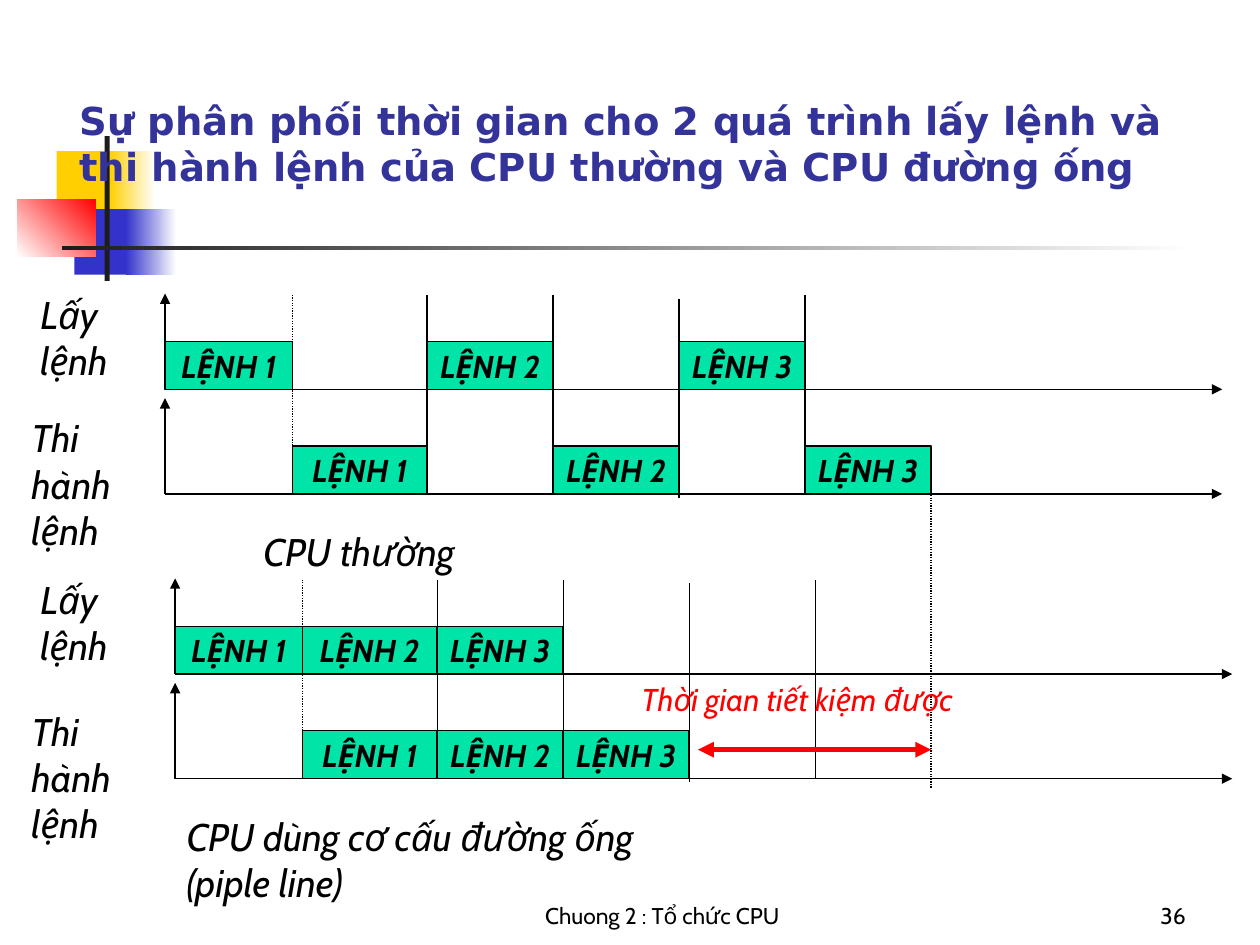
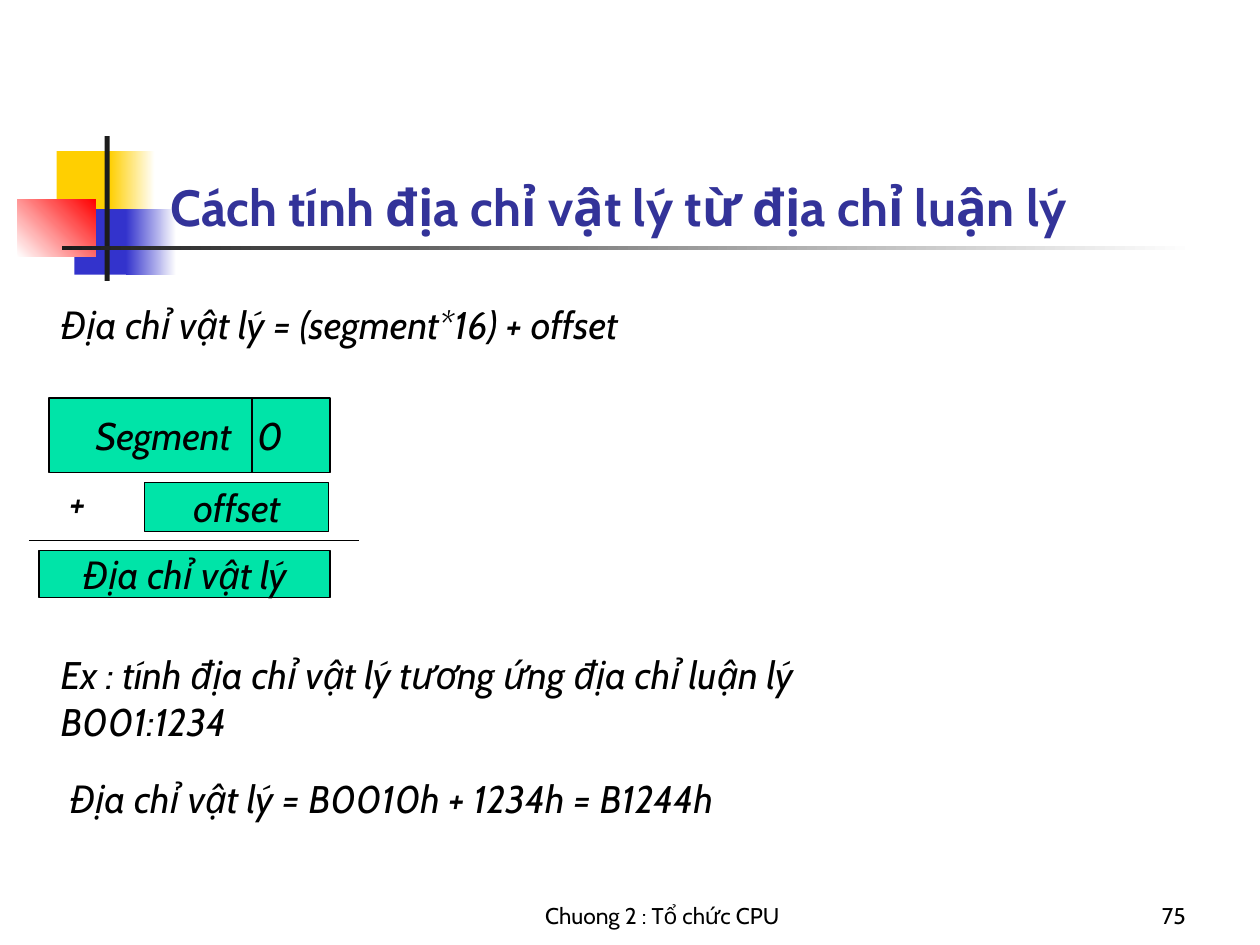
from lxml.etree import SubElement
from pptx import Presentation
from pptx.dml.color import RGBColor
from pptx.enum.dml import MSO_LINE
from pptx.enum.shapes import MSO_CONNECTOR, MSO_SHAPE
from pptx.enum.text import MSO_ANCHOR, MSO_AUTO_SIZE, PP_ALIGN
from pptx.oxml.ns import qn
from pptx.util import Inches, Pt

HUE = {"ink": "000000", "title": "333399", "box": "00E4A8", "alert": "FF0000",
       "gold": "FFCF01", "blue": "3333CC", "dark": "1C1C1C", "white": "FFFFFF"}
RGB = {name: RGBColor.from_string(code) for name, code in HUE.items()}
LEFT, MID, RIGHT = PP_ALIGN.LEFT, PP_ALIGN.CENTER, PP_ALIGN.RIGHT
TOP, CENTRE, BASE = MSO_ANCHOR.TOP, MSO_ANCHOR.MIDDLE, MSO_ANCHOR.BOTTOM

deck = Presentation()
deck.slide_width, deck.slide_height = Inches(10), Inches(7.5)
CELL = deck.slide_width / 100  # the slide is a grid of 100 columns by 75 rows


def put(slide, kind, at, text="", size=22, hue="ink", font="Cabin", bold=False,
        slant=True, align=LEFT, anchor=TOP, wrap=True, pad=0.9):
    """Place a title, note or box on the grid and write its text."""
    if kind == "title":
        shape = slide.shapes.title
        slide.shapes._spTree.append(shape._element)
    elif kind == "note":
        shape = slide.shapes.add_textbox(0, 0, 0, 0)
    else:
        shape = slide.shapes.add_shape(MSO_SHAPE.RECTANGLE, 0, 0, 0, 0)
        shape.shadow.inherit = False
        shape.fill.solid()
        shape.fill.fore_color.rgb = RGB["box"]
        shape.line.color.rgb = RGB["ink"]
        shape.line.width = Pt(0.75)
    for name, cells in zip(("left", "top", "width", "height"), at):
        setattr(shape, name, round(cells * CELL))
    frame = shape.text_frame
    frame.text = text
    para = frame.paragraphs[0]
    para.alignment = align
    form = {"word_wrap": wrap, "auto_size": MSO_AUTO_SIZE.NONE,
            "vertical_anchor": anchor, "margin_left": round(pad * CELL),
            "margin_right": round(0.9 * CELL), "margin_top": round(0.5 * CELL),
            "margin_bottom": round(0.5 * CELL)}
    for name, value in form.items():
        setattr(frame, name, value)
    for name, value in {"name": font, "size": Pt(size), "bold": bold, "italic": slant}.items():
        setattr(para.font, name, value)
    para.font.color.rgb = RGB[hue]
    return shape


def rule(slide, x1, y1, x2, y2, hue="ink", width=0.75, ends=(), dots=False):
    """Draw a line; ends lists the tips (headEnd, tailEnd) that get an arrow."""
    line = slide.shapes.add_connector(
        MSO_CONNECTOR.STRAIGHT, *(round(n * CELL) for n in (x1, y1, x2, y2)))
    line.line.color.rgb = RGB[hue]
    line.line.width = Pt(width)
    if dots:
        line.line.dash_style = MSO_LINE.ROUND_DOT
    pen = line.line._get_or_add_ln()
    for tip in ends:
        SubElement(pen, qn("a:" + tip), type="triangle")
    SubElement(line._element.spPr, qn("a:effectLst"))


# Shared art, footer and title
ART = [  # place, first colour, last colour, angle
    ((4.5, 12, 4.8, 5.2), "gold", None, 0),
    ((8.7, 12, 3.6, 5.2), "gold", "white", 0),
    ((5.9, 16.6, 4.6, 5.2), "blue", None, 0),
    ((10, 16.6, 4, 5.2), "blue", "white", 0),
    ((1.4, 15.8, 6.2, 4.6), "white", "alert", 45),
    ((8.3, 10.8, 0.4, 11.5), "dark", None, 0),
    ((4.9, 19.5, 89.9, 0.35), "dark", "white", 0),
]
HEADS = [
    ("36", (5.4, 6.8, 90.8, 8.7), 22, "DejaVu Sans",
     "Sự phân phối thời gian cho 2 quá trình lấy lệnh và thi hành lệnh "
     "của CPU thường và CPU đường ống"),
    ("75", (12.6, 12.8, 85.2, 6.5), 29, "Cabin",
     "Cách tính địa chỉ vật lý từ địa chỉ luận lý"),
]
for page, at, size, font, text in HEADS:
    slide = deck.slides.add_slide(deck.slide_layouts[5])
    for place, first, last, angle in ART:
        part = put(slide, "box", place)
        part.line.fill.background()
        if last:
            part.fill.gradient()
            part.fill.gradient_angle = angle
            for stop, hue in zip(part.fill.gradient_stops, (first, last)):
                stop.color.rgb = RGB[hue]
        else:
            part.fill.fore_color.rgb = RGB[first]
    foot = {"size": 13, "slant": False, "anchor": BASE}
    put(slide, "note", (36.7, 69.2, 31.7, 5), "Chuong 2 : Tổ chức CPU", align=MID, **foot)
    put(slide, "note", (74.2, 69.2, 20.8, 5), page, align=RIGHT, **foot)
    put(slide, "title", at, text, size, "title", font, bold=True, slant=False, anchor=BASE)

time, address = deck.slides

# Slide 1: two timing charts, each with a fetch row and a run row
MARKS = [0, 10.1, 20.8, 30.8, 40.8, 50.8, 60.8]
HIGH, STEP = 3.8, 8.3
CHARTS = [  # left edge, fetch axis, slots of the fetch row, slots of the run row
    (13.1, 30.9, (0, 2, 4), (1, 3, 5)),
    (13.9, 53.5, (0, 1, 2), (1, 2, 3)),
]
for left, axis, fetch, run in CHARTS:
    for base in (axis + STEP, axis):
        rule(time, left, base, left + 83.9, base, ends=["tailEnd"])
        rule(time, left, base, left, base - 7.6, ends=["tailEnd"])
    for n, mark in enumerate(MARKS[1:-1]):
        drop = 0.3 if n == 3 else 0
        rule(time, left + mark, axis - 7.5 + drop, left + mark, axis + STEP + drop, dots=n == 0)
    for base, slots in ((axis, fetch), (axis + STEP, run)):
        for n, slot in enumerate(slots, 1):
            put(time, "box", (left + MARKS[slot], base - HIGH, MARKS[slot + 1] - MARKS[slot], HIGH),
                f"LỆNH {n}", 18, bold=True, align=MID, anchor=CENTRE, wrap=False)
    put(time, "note", (2.3, axis - 8.3, 8.5, 8.2), "Lấy lệnh")

for at, text in [((1.6, 32.4, 10, 11.9), "Thi hành lệnh"),
                 ((1.6, 55.7, 10, 11.9), "Thi hành lệnh"),
                 ((20, 41.4, 19.2, 4.6), "CPU thường"),
                 ((13.9, 64, 41.5, 8.2), "CPU dùng cơ cấu đường ống (piple line)")]:
    put(time, "note", at, text)

finish = CHARTS[0][0] + MARKS[-1]
rule(time, finish, 35.4, finish, 62.5, dots=True)
rule(time, 55.4, 59.5, finish, 59.5, "alert", 3, ["headEnd", "tailEnd"])
put(time, "note", (50, 53.5, 30.8, 3.9), "Thời gian tiết kiệm được", 18, "alert")

# Slide 2: address sum
for at, text in [((3.9, 23.4, 67.7, 4.6), "Địa chỉ vật lý = (segment*16) + offset"),
                 ((4.6, 37.5, 4.6, 4.6), "+"),
                 ((3.9, 51.2, 66.2, 8.2),
                  "Ex : tính địa chỉ vật lý tương ứng địa chỉ luận lý B001:1234"),
                 ((4.6, 61, 67.7, 4.6), "Địa chỉ vật lý = B0010h + 1234h = B1244h")]:
    put(address, "note", at, text)

cell = put(address, "box", (3.9, 31.6, 22.3, 5.9), "Segment\t0", anchor=CENTRE, pad=3.7)
tabs = SubElement(cell.text_frame.paragraphs[0]._p.get_or_add_pPr(), qn("a:tabLst"))
SubElement(tabs, qn("a:tab"), pos=str(round(12.8 * CELL)), algn="l")
props = tabs.getparent()
props.insert(0, tabs)  # tab stops come before the run format
for at, text in [((11.5, 38.3, 14.6, 3.9), "offset"),
                 ((3.1, 43.7, 23.1, 3.7), "Địa chỉ vật lý")]:
    put(address, "box", at, text, align=MID, anchor=CENTRE, wrap=False)
rule(address, 20, 31.6, 20, 37.5)
rule(address, 2.3, 42.9, 28.5, 42.9)

deck.save("out.pptx")
